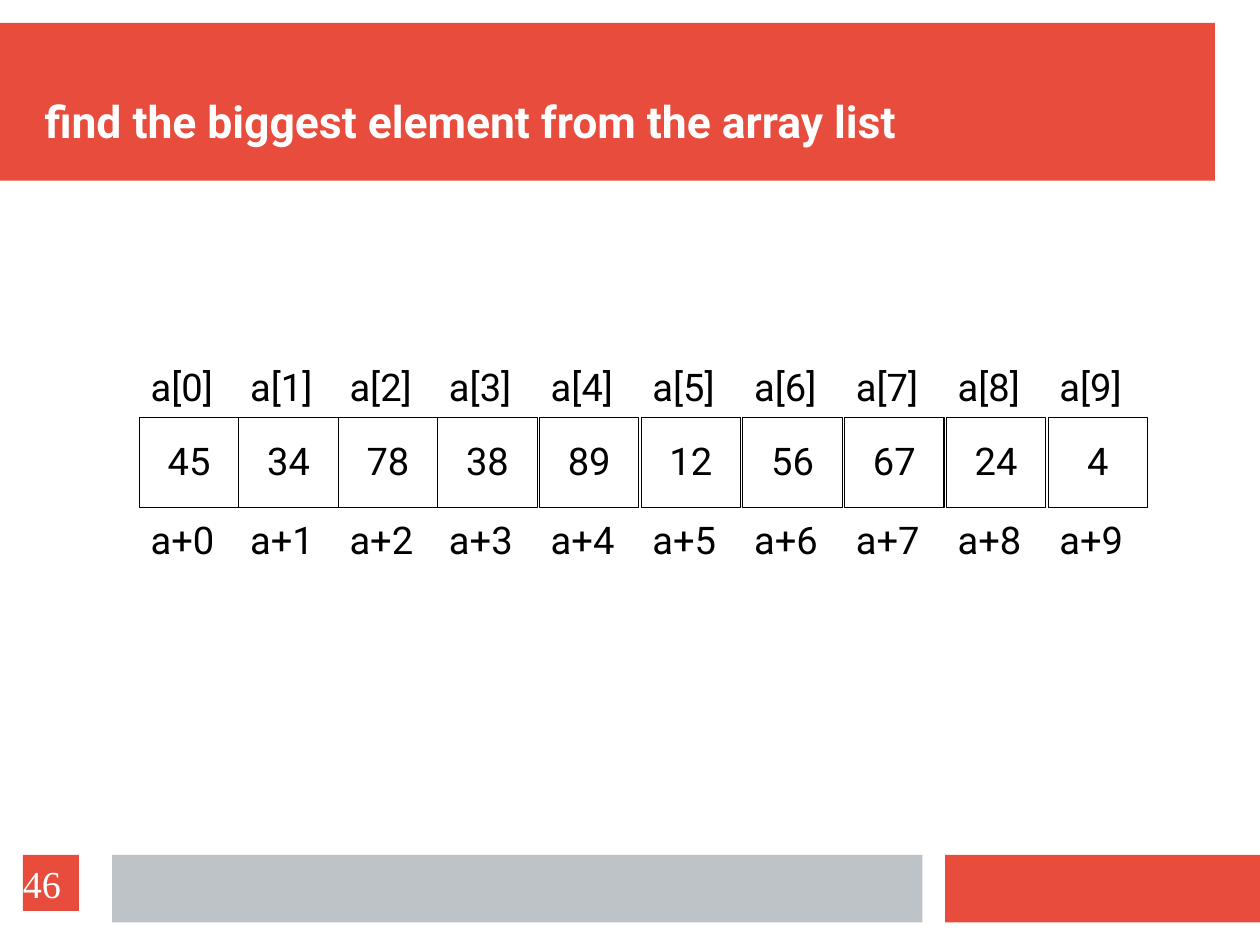
from pptx import Presentation
from pptx.dml.color import RGBColor
from pptx.enum.shapes import MSO_SHAPE
from pptx.enum.text import MSO_ANCHOR, MSO_AUTO_SIZE, PP_ALIGN
from pptx.util import Cm, Inches, Pt

RECT = MSO_SHAPE.RECTANGLE
TOP, MIDDLE, BOTTOM = MSO_ANCHOR.TOP, MSO_ANCHOR.MIDDLE, MSO_ANCHOR.BOTTOM
LEFT, CENTER = PP_ALIGN.LEFT, PP_ALIGN.CENTER

# Content
TITLE = "find the biggest element from the array list"
VALUES = [45, 34, 78, 38, 89, 12, 56, 67, 24, 4]
NUMBER = "46"


class Theme:
    red, gray = RGBColor(231, 76, 60), RGBColor(189, 195, 199)
    white, black = RGBColor(255, 255, 255), RGBColor(0, 0, 0)
    sans, serif = "Roboto", "Times New Roman"
    head, body = 28, 24
    line, lead = 0.75, 0.97


# Slide size
WIDE, HIGH = Cm(28), Cm(21)

# Grid, in inches
FOOT, BAR = 7.48, 0.59
BANDS = [
    (0, 0.2, 10.63, 1.38, Theme.red),
    (8.27, FOOT, 2.76, BAR, Theme.red),
    (0.98, FOOT, 7.09, BAR, Theme.gray),
]
START, CELL, GAP, TIGHT = 1.22, 0.87, 0.02, 3  # gaps open after TIGHT cells
ROW, TALL = 3.65, 0.79
LABEL = 0.5
OVER, UNDER = ROW - LABEL, ROW + TALL + 0.05


def place(shape, *box):
    shape.left, shape.top, shape.width, shape.height = map(Inches, box)


def block(slide, box, fill, line=None):
    shape = slide.shapes.add_shape(RECT, *map(Inches, box))
    shape.shadow.inherit = False
    shape.fill.solid()
    shape.fill.fore_color.rgb = fill
    if line is None:
        shape.line.fill.background()
    else:
        shape.line.color.rgb = line
        shape.line.width = Pt(Theme.line)
    return shape


def write(shape, text, color, size=Theme.body, face=Theme.sans, bold=False,
          align=LEFT, anchor=TOP, pad=(0.1, 0.05), lead=Theme.lead):
    frame = shape.text_frame
    frame.text = text
    frame.word_wrap = True
    frame.auto_size = MSO_AUTO_SIZE.NONE
    frame.vertical_anchor = anchor
    frame.margin_left = frame.margin_right = Inches(pad[0])
    frame.margin_top = frame.margin_bottom = Inches(pad[1])
    para = frame.paragraphs[0]
    para.alignment, para.line_spacing = align, lead
    font = para.runs[0].font
    font.name, font.size, font.bold = face, Pt(size), bold
    font.color.rgb = color


def main():
    deck = Presentation()
    deck.slide_width, deck.slide_height = WIDE, HIGH
    slide = deck.slides.add_slide(deck.slide_layouts[5])

    # Bands, with the title brought in front of them
    for *box, fill in BANDS:
        block(slide, box, fill)
    title = slide.shapes.title
    slide.shapes._spTree.append(title._element)
    place(title, 0.39, 0.39, 10.16, 0.91)
    write(title, TITLE, Theme.white, Theme.head, bold=True,
          anchor=BOTTOM, pad=(0, 0))

    # Array cells with index above and address below
    for i, value in enumerate(VALUES):
        left = START + i * CELL + max(0, i - TIGHT) * GAP
        cell = block(slide, (left, ROW, CELL, TALL), Theme.white, Theme.black)
        write(cell, str(value), Theme.black, align=CENTER, anchor=MIDDLE)
        for top, text in ((OVER, f"a[{i}]"), (UNDER, f"a+{i}")):
            label = slide.shapes.add_textbox(
                *map(Inches, (left, top, CELL, LABEL)))
            write(label, text, Theme.black)

    # Slide number
    badge = block(slide, (0.2, FOOT, 0.49, 0.49), Theme.red)
    write(badge, NUMBER, Theme.white, face=Theme.serif,
          anchor=MIDDLE, pad=(0, 0), lead=1.0)

    deck.save("out.pptx")


if __name__ == "__main__":
    main()
